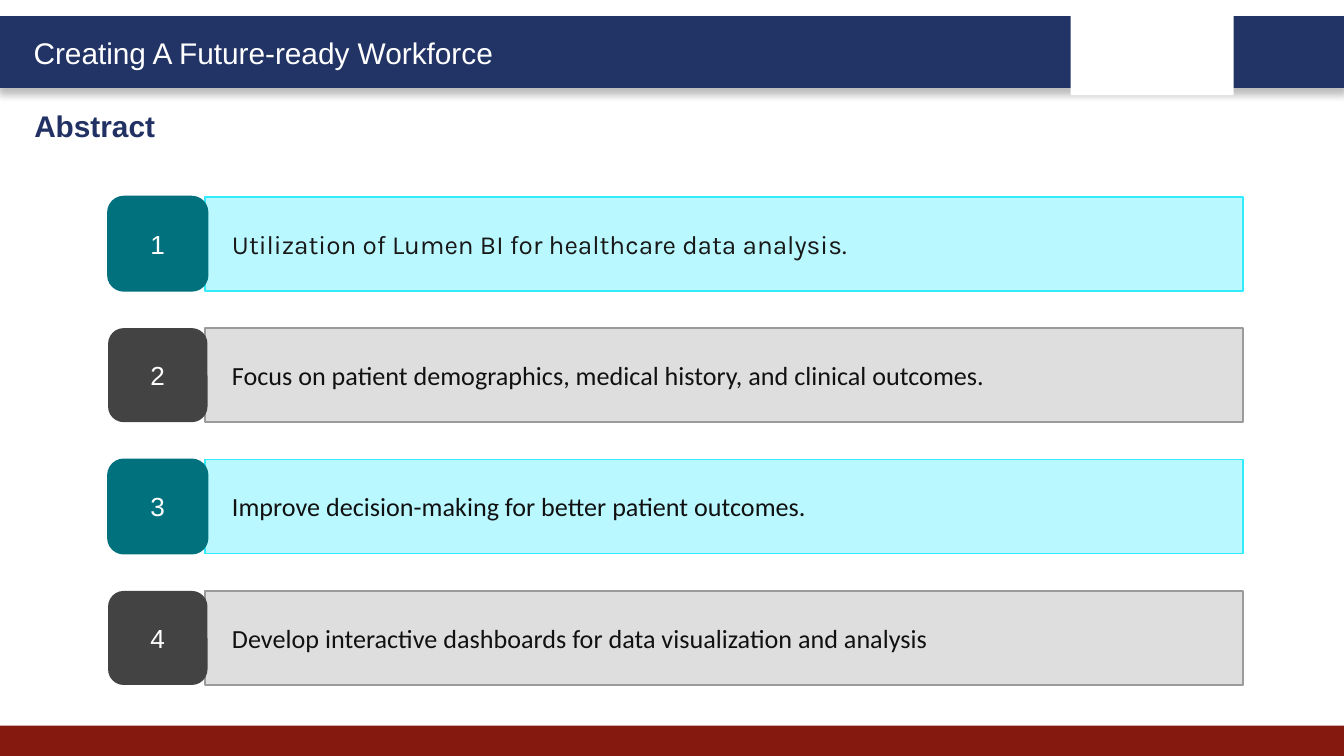
"""Build the abstract slide: a header band and four numbered statements."""
from dataclasses import dataclass
from typing import NamedTuple, Optional

from lxml import etree
from pptx import Presentation
from pptx.dml.color import RGBColor
from pptx.enum.shapes import MSO_SHAPE
from pptx.enum.text import MSO_ANCHOR, MSO_AUTO_SIZE, PP_ALIGN
from pptx.oxml.ns import qn
from pptx.shapes.autoshape import Shape
from pptx.slide import Slide
from pptx.text.text import _Paragraph as Paragraph
from pptx.util import Pt

RECTANGLE = MSO_SHAPE.RECTANGLE
ROUNDED = MSO_SHAPE.ROUNDED_RECTANGLE
MIDDLE = MSO_ANCHOR.MIDDLE
FIT_SHAPE = MSO_AUTO_SIZE.SHAPE_TO_FIT_TEXT
LEFT, CENTER = PP_ALIGN.LEFT, PP_ALIGN.CENTER


class Box(NamedTuple):
    left: float
    top: float
    width: float
    height: float


@dataclass(frozen=True)
class TextStyle:
    font: str
    size: float
    color: str
    bold: bool = False


@dataclass(frozen=True)
class RowColors:
    badge: str
    badge_line: Optional[str]
    bar: str
    bar_line: str


@dataclass(frozen=True)
class Theme:
    navy: str = "223366"
    red: str = "851910"
    white: str = "FFFFFF"
    shadow: str = "000000"
    title: TextStyle = TextStyle("Arial", 16, "FFFFFF")
    heading: TextStyle = TextStyle("Arial", 16, "213163", True)
    number: TextStyle = TextStyle("Arial", 14, "FFFFFF")
    lead: TextStyle = TextStyle("Karla", 14, "181818")
    body: TextStyle = TextStyle("Calibri", 14, "111111")
    rows: tuple[RowColors, ...] = (
        RowColors("00717D", "00717D", "BAF8FF", "31EBFF"),
        RowColors("434343", None, "DEDEDE", "9B9B9B"),
    )


@dataclass(frozen=True)
class Statement:
    text: str
    style: TextStyle


THEME = Theme()
STATEMENTS = (
    Statement("Utilization of Lumen BI for healthcare data analysis.", THEME.lead),
    Statement("Focus on patient demographics, medical history, and clinical outcomes.", THEME.body),
    Statement("Improve decision-making for better patient outcomes.", THEME.body),
    Statement("Develop interactive dashboards for data visualization and analysis", THEME.body),
)
ROW_TOP, ROW_PITCH, ROW_HEIGHT = 105.4, 70.4, 50.4
BADGE_LEFT, BADGE_WIDTH = 57.9, 53.3
BAR_LEFT, BAR_WIDTH, BAR_INDENT = 110, 556, 7.2


def add_block(slide: Slide, kind: MSO_SHAPE, box: Box, fill: str,
              line: Optional[str] = None, line_width: float = 1) -> Shape:
    """Add a flat filled shape with an optional outline."""
    shape = slide.shapes.add_shape(kind, *map(Pt, box))
    shape.shadow.inherit = False
    shape.fill.solid()
    shape.fill.fore_color.rgb = RGBColor.from_string(fill)
    if line is None:
        shape.line.fill.background()
    else:
        shape.line.color.rgb = RGBColor.from_string(line)
        shape.line.width = Pt(line_width)
    return shape


def add_shadow(shape: Shape, color: str, opacity: int, blur: float, distance: float) -> None:
    """Cast a soft shadow straight down."""
    effects = shape._element.spPr.find(qn("a:effectLst"))
    shadow = etree.SubElement(effects, qn("a:outerShdw"), blurRad=str(Pt(blur)),
                              dist=str(Pt(distance)), dir="5400000", rotWithShape="0")
    tint = etree.SubElement(shadow, qn("a:srgbClr"), val=color)
    etree.SubElement(tint, qn("a:alpha"), val=str(opacity * 1000))


def write(shape: Shape, text: str, style: TextStyle, alignment: PP_ALIGN = LEFT) -> Paragraph:
    """Write one styled run into a shape."""
    shape.text_frame.word_wrap = True
    paragraph = shape.text_frame.paragraphs[0]
    paragraph.alignment = alignment
    run = paragraph.add_run()
    run.text = text
    run.font.name = style.font
    run.font.size = Pt(style.size)
    run.font.bold = style.bold
    run.font.color.rgb = RGBColor.from_string(style.color)
    return paragraph


def add_label(slide: Slide, box: Box, text: str, style: TextStyle) -> None:
    """Add a text box that grows with its text."""
    label = slide.shapes.add_textbox(*map(Pt, box))
    write(label, text, style)
    label.text_frame.auto_size = FIT_SHAPE


def add_row(slide: Slide, index: int, statement: Statement) -> None:
    """Add a statement bar with its numbered badge."""
    colors = THEME.rows[index % len(THEME.rows)]
    top = ROW_TOP + index * ROW_PITCH
    bar = add_block(slide, RECTANGLE, Box(BAR_LEFT, top, BAR_WIDTH, ROW_HEIGHT),
                    colors.bar, colors.bar_line)
    paragraph = write(bar, statement.text, statement.style)
    paragraph._p.get_or_add_pPr().set("marL", str(Pt(BAR_INDENT)))
    badge = add_block(slide, ROUNDED, Box(BADGE_LEFT, top, BADGE_WIDTH, ROW_HEIGHT),
                      colors.badge, colors.badge_line)
    write(badge, str(index + 1), THEME.number, CENTER)
    for shape in (bar, badge):
        shape.text_frame.vertical_anchor = MIDDLE


def main() -> None:
    """Build and save the presentation."""
    presentation = Presentation()
    presentation.slide_width, presentation.slide_height = Pt(720), Pt(405)
    slide = presentation.slides.add_slide(presentation.slide_layouts[6])
    header = add_block(slide, RECTANGLE, Box(0, 9.5, 720, 36.7), THEME.navy, THEME.navy, 2)
    add_shadow(header, THEME.shadow, 25, 4, 3)
    add_block(slide, RECTANGLE, Box(0, 388.7, 720, 16.3), THEME.red)
    add_block(slide, RECTANGLE, Box(573.5, 5, 87.4, 46), THEME.white)
    add_label(slide, Box(10.9, 15.3, 272, 26.6), "Creating A Future-ready Workforce", THEME.title)
    add_label(slide, Box(11.3, 54, 348.5, 26.6), "Abstract", THEME.heading)
    for index, statement in enumerate(STATEMENTS):
        add_row(slide, index, statement)
    presentation.save("out.pptx")


if __name__ == "__main__":
    main()
